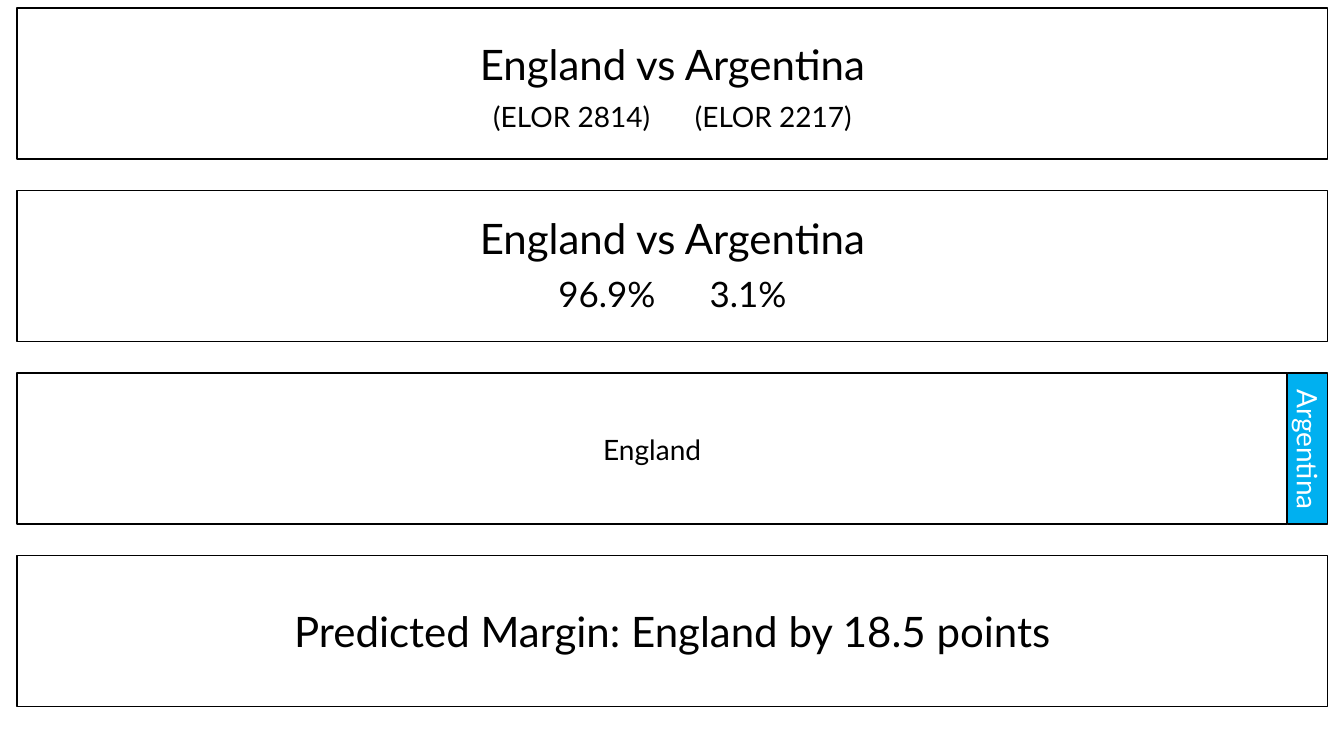
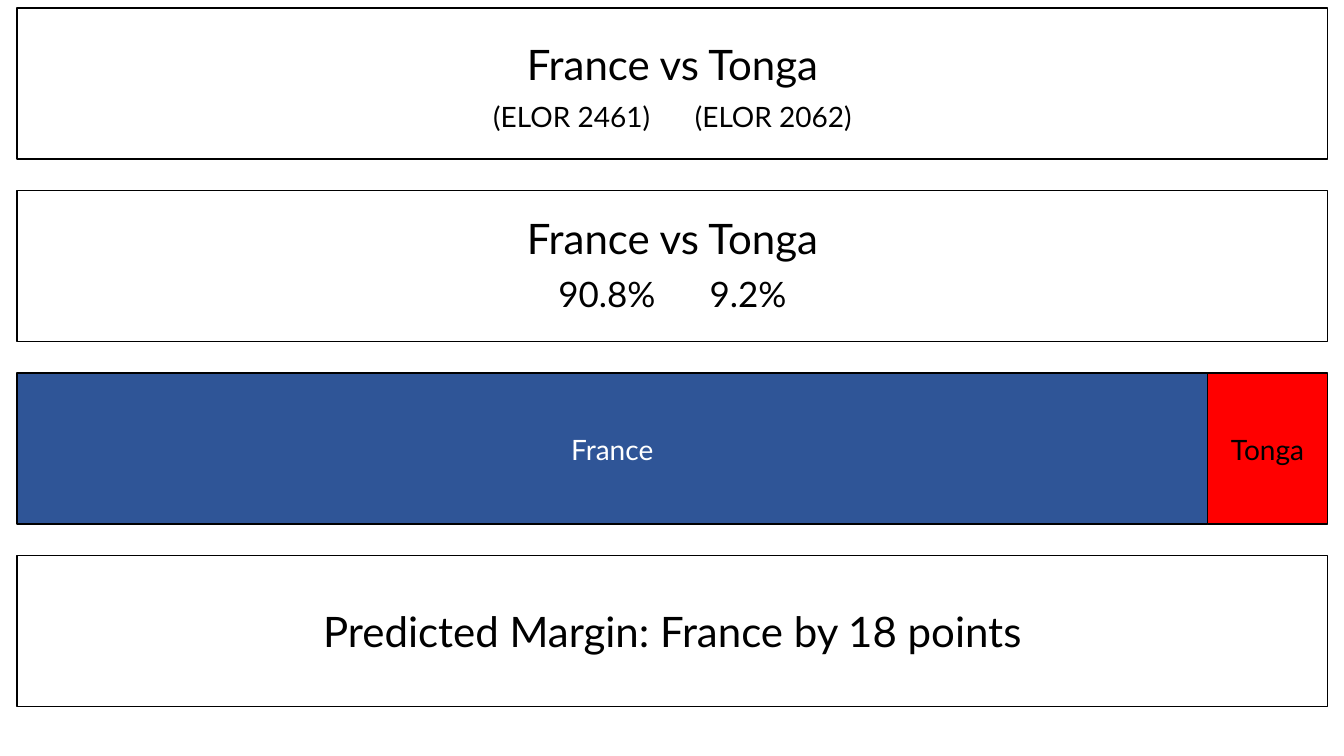
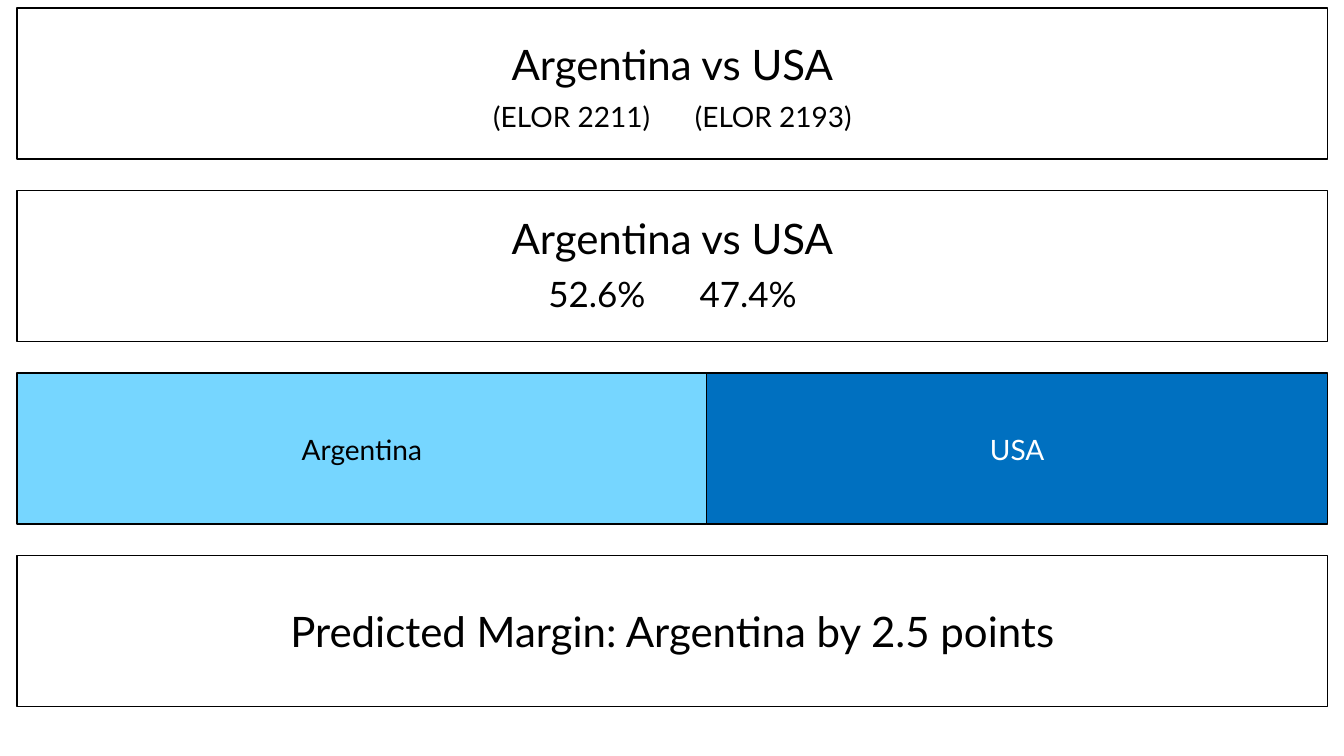
from dataclasses import dataclass

from pptx import Presentation
from pptx import util as u
from pptx.dml import color
from pptx.enum import shapes, text

FONT = "Lato"
BLACK, WHITE = "000000", "FFFFFF"
SLIDE_WIDTH, SLIDE_HEIGHT = 13.33, 7.5
LEFT, WIDTH = 0.17, 13
TOP, ROW_HEIGHT, ROW_PITCH = 0.08, 1.5, 1.81
HEADLINE, FIGURES, LABEL = 30, 25, 20
BOX_HEIGHTS = {HEADLINE: 0.61, FIGURES: 0.52, LABEL: 0.44}


@dataclass
class Team:
    name: str
    rating: str
    chance: float
    fill: str
    ink: str


MATCHES = [
    (Team("England", "(ELOR 2814)", 96.9, WHITE, BLACK),
     Team("Argentina", "(ELOR 2217)", 3.1, "00B0F0", WHITE), "18.5"),
    (Team("France", "(ELOR 2461)", 90.8, "2F5597", WHITE),
     Team("Tonga", "(ELOR 2062)", 9.2, "FF0000", BLACK), "18"),
    (Team("Argentina", "(ELOR 2211)", 52.6, "76D6FF", BLACK),
     Team("USA", "(ELOR 2193)", 47.4, "0070C0", WHITE), "2.5"),
]


def rgb(value):
    return color.RGBColor.from_string(value)


def row_top(row):
    return TOP + row * ROW_PITCH


def add_panel(slide, row, left=LEFT, width=WIDTH, fill=WHITE):
    shape = slide.shapes.add_shape(
        shapes.MSO_SHAPE.RECTANGLE, u.Inches(left), u.Inches(row_top(row)),
        u.Inches(width), u.Inches(ROW_HEIGHT))
    shape.shadow.inherit = False
    shape.fill.solid()
    shape.fill.fore_color.rgb = rgb(fill)
    shape.line.color.rgb = rgb(BLACK)
    shape.line.width = u.Pt(1)


def add_text(slide, words, top, left=LEFT, width=WIDTH, size=HEADLINE,
             ink=BLACK, rotation=0):
    box = slide.shapes.add_textbox(
        u.Inches(left), u.Inches(top), u.Inches(width),
        u.Inches(BOX_HEIGHTS[size]))
    box.rotation = rotation
    frame = box.text_frame
    frame.word_wrap = True
    frame.auto_size = text.MSO_AUTO_SIZE.SHAPE_TO_FIT_TEXT
    paragraph = frame.paragraphs[0]
    paragraph.alignment = text.PP_ALIGN.CENTER
    run = paragraph.add_run()
    run.text = words
    run.font.name = FONT
    run.font.size = u.Pt(size)
    run.font.color.rgb = rgb(ink)


def add_chance_bar(slide, row, teams):
    left = LEFT
    for team in teams:
        width = WIDTH * team.chance / 100
        add_panel(slide, row, left, width, team.fill)
        upright = width < BOX_HEIGHTS[LABEL]
        label_width = ROW_HEIGHT if upright else width
        add_text(slide, team.name,
                 row_top(row) + (ROW_HEIGHT - BOX_HEIGHTS[LABEL]) / 2 + 0.01,
                 left + (width - label_width) / 2, label_width,
                 size=LABEL, ink=team.ink, rotation=90 if upright else 0)
        left += width


def add_match(slide, home, away, margin):
    pairing = f"{home.name} vs {away.name}"
    for row in (0, 1, 3):
        add_panel(slide, row)
    add_text(slide, pairing, row_top(0) + 0.25)
    add_text(slide, f"{home.rating}\t{away.rating}", row_top(0) + 0.86,
             size=LABEL)
    add_text(slide, pairing, row_top(1) + 0.17)
    add_text(slide, f"{home.chance}%\t\t{away.chance}%", row_top(1) + 0.76,
             size=FIGURES)
    add_chance_bar(slide, 2, (home, away))
    add_text(slide, f"Predicted Margin: {home.name} by {margin} points",
             row_top(3) + 0.45)


def main():
    presentation = Presentation()
    presentation.slide_width = u.Inches(SLIDE_WIDTH)
    presentation.slide_height = u.Inches(SLIDE_HEIGHT)
    blank = presentation.slide_layouts[6]
    for home, away, margin in MATCHES:
        add_match(presentation.slides.add_slide(blank), home, away, margin)
    presentation.save("out.pptx")


if __name__ == "__main__":
    main()
